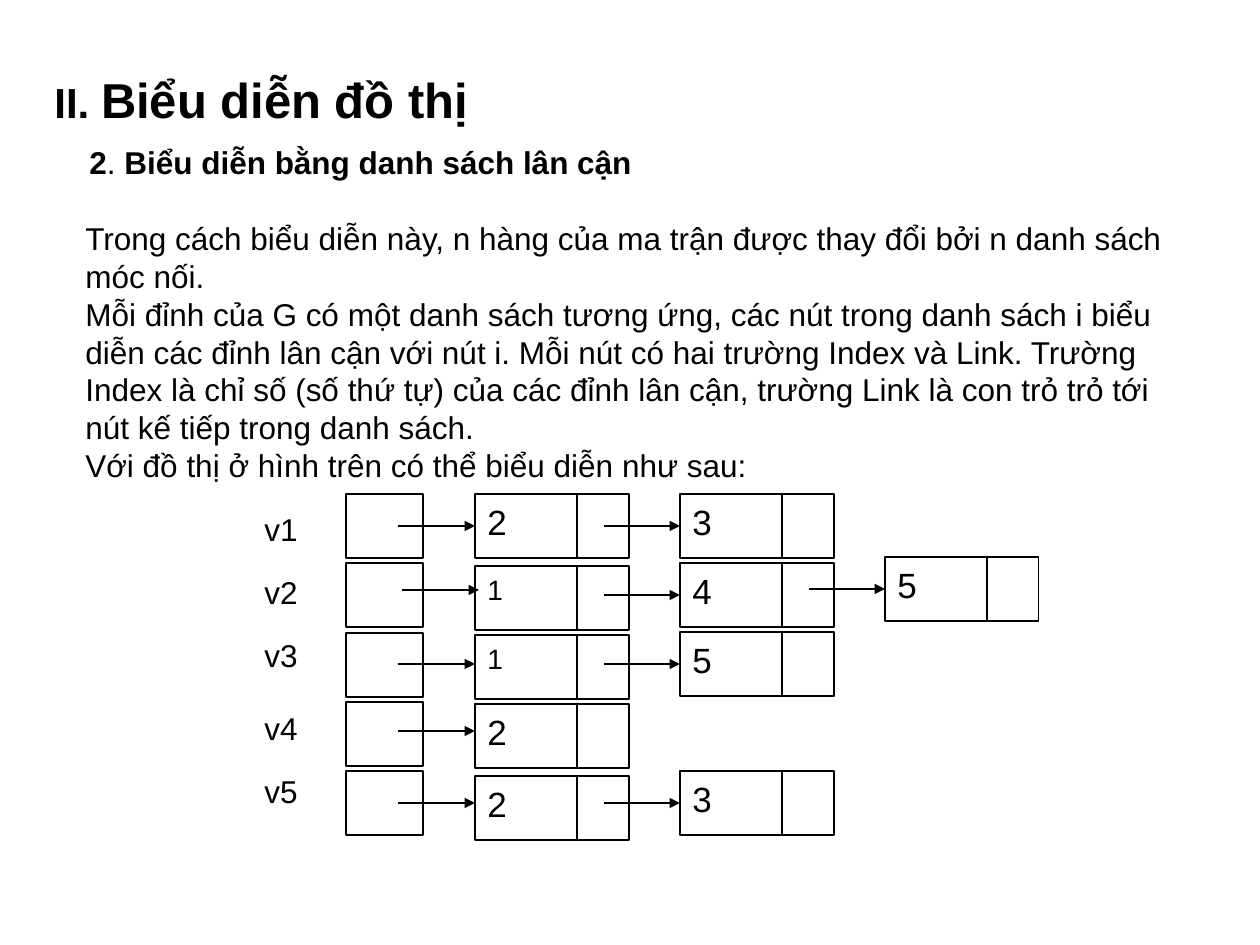
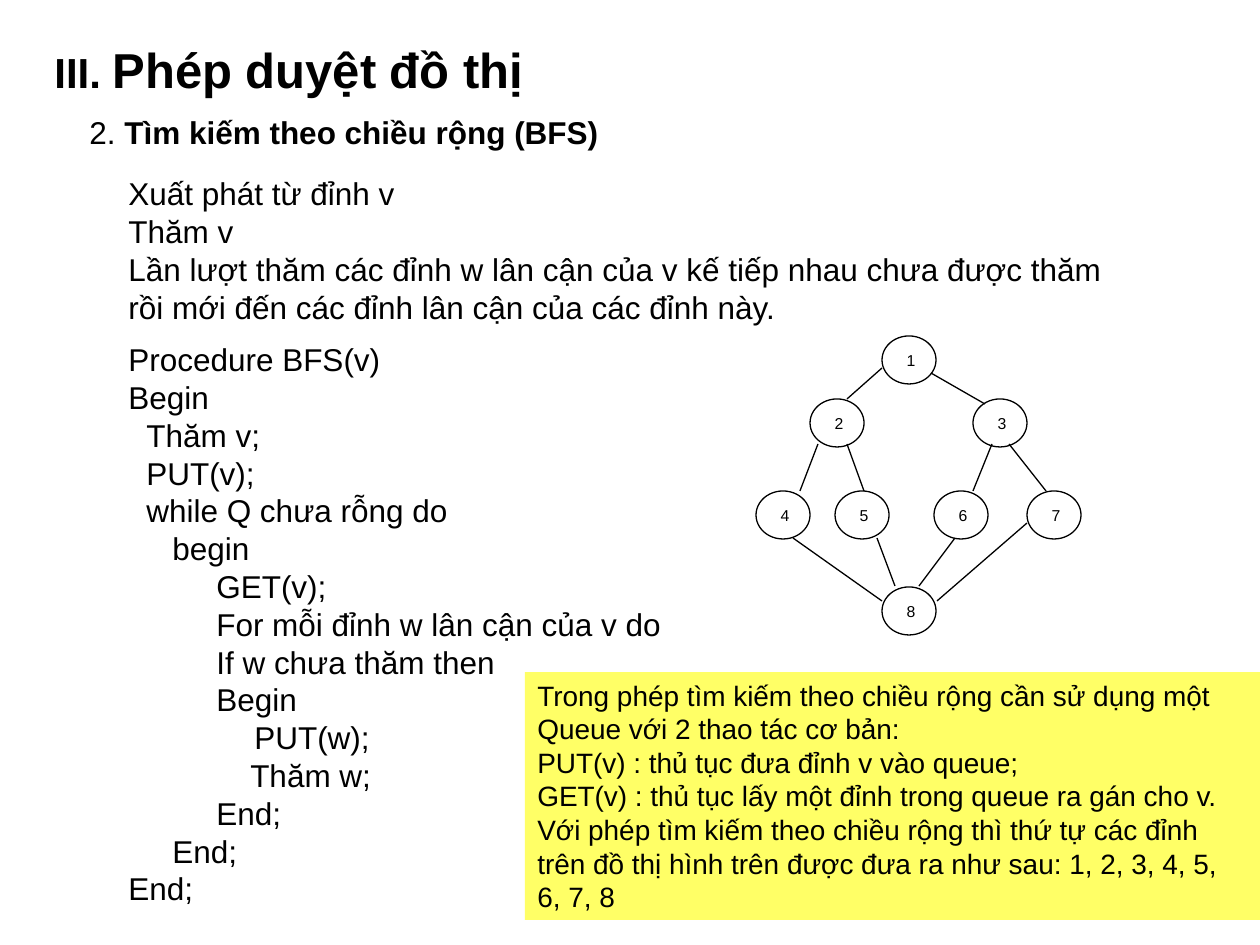
from lxml import etree
from pptx import Presentation
from pptx.dml.color import RGBColor
from pptx.enum.shapes import MSO_CONNECTOR as CONN, MSO_SHAPE as SHAPE
from pptx.enum.text import MSO_ANCHOR as ANCHOR, PP_ALIGN as ALIGN
from pptx.oxml.ns import qn
from pptx.util import Emu, Pt

PX_PER_INCH = 126


def px(n):
    return Emu(round(n * 914400 / PX_PER_INCH))


def color(hex_text):
    return RGBColor.from_string(hex_text)


class Deck:
    font, ink, paper, note_fill = "Arial", "000000", "FFFFFF", "FFFF66"
    line_width = Pt(0.75)

    def __init__(self):
        self.prs = Presentation()
        self.prs.slide_width, self.prs.slide_height = px(1260), px(945)
        self.s = None

    def slide(self):
        self.s = self.prs.slides.add_slide(self.prs.slide_layouts[6])

    def style(self, p, size):
        p.font.name, p.font.size = self.font, Pt(size)
        p.font.color.rgb = color(self.ink)

    def fill_text(self, tf, lines, size, indents=None):
        """Write one paragraph per line, with optional left indents in px."""
        tf.word_wrap = True
        tf.vertical_anchor = ANCHOR.TOP
        for i, line in enumerate(lines):
            p = tf.paragraphs[0] if i == 0 else tf.add_paragraph()
            p.add_run().text = line
            p.alignment = ALIGN.LEFT
            self.style(p, size)
            if indents and indents[i]:
                p._p.get_or_add_pPr().set("marL", str(px(indents[i])))

    def text(self, x, y, w, h, lines, size=18, indents=None):
        tb = self.s.shapes.add_textbox(px(x), px(y), px(w), px(h))
        self.fill_text(tb.text_frame, lines, size, indents)

    def heading(self, x, y, w, h, runs):
        """Write one line of (text, size, bold) runs."""
        tb = self.s.shapes.add_textbox(px(x), px(y), px(w), px(h))
        tb.text_frame.word_wrap = True
        p = tb.text_frame.paragraphs[0]
        self.style(p, runs[0][1])
        for text, size, bold in runs:
            r = p.add_run()
            r.text = text
            r.font.size, r.font.bold = Pt(size), bold

    def titles(self, y, number, title, subtitle_runs):
        self.heading(42, y, 819, 72, [(number, 24, True), (title, 28, True)])
        self.heading(77, y + 74, 1004, 50,
                     [(text, 18, bold) for text, bold in subtitle_runs])

    def shape(self, kind, x, y, w, h, fill=None, outlined=True):
        sp = self.s.shapes.add_shape(kind, px(x), px(y), px(w), px(h))
        sp.shadow.inherit = False
        sp.fill.solid()
        sp.fill.fore_color.rgb = color(fill or self.paper)
        if outlined:
            sp.line.color.rgb = color(self.ink)
            sp.line.width = self.line_width
        else:
            sp.line.fill.background()
        return sp

    def line(self, x1, y1, x2, y2, arrow=False, target=None):
        """Draw a line; target is a box whose left side it meets."""
        c = self.s.shapes.add_connector(CONN.STRAIGHT, px(x1), px(y1), px(x2), px(y2))
        c.line.color.rgb = color(self.ink)
        c.line.width = self.line_width
        if arrow:
            etree.SubElement(c.line._get_or_add_ln(), qn("a:tailEnd"), type="triangle")
        etree.SubElement(c._element.spPr, qn("a:effectLst"))
        if target is not None:
            c.end_connect(target, 1)

    def list_node(self, x, y, value, size=20):
        """Draw a list node: an Index field and a Link field."""
        sp = self.shape(SHAPE.RECTANGLE, x, y, 154, 64)
        self.fill_text(sp.text_frame, [value], size)
        self.line(x + 102, y, x + 102, y + 64)
        return sp

    def vertex(self, x, y, label):
        sp = self.shape(SHAPE.OVAL, x, y, 54, 48)
        tf = sp.text_frame
        tf.margin_left, tf.margin_right = px(4), 0
        tf.margin_top = tf.margin_bottom = 0
        tf.vertical_anchor = ANCHOR.MIDDLE
        p = tf.paragraphs[0]
        p.add_run().text = label
        p.alignment = ALIGN.CENTER
        self.style(p, 9)


def adjacency_slide(d):
    d.slide()
    d.titles(63, "II. ", "Biểu diễn đồ thị",
             [("2", True), (". ", False), ("Biểu diễn bằng danh sách lân cận", True)])
    d.text(73, 213, 1134, 277, [
        "Trong cách biểu diễn này, n hàng của ma trận được thay đổi bởi n danh sách móc nối.",
        "Mỗi đỉnh của G có một danh sách tương ứng, các nút trong danh sách i biểu diễn "
        "các đỉnh lân cận với nút i. Mỗi nút có hai trường Index và Link. Trường Index là "
        "chỉ số (số thứ tự) của các đỉnh lân cận, trường Link là con trỏ trỏ tới nút kế "
        "tiếp trong danh sách.",
        "Với đồ thị ở hình trên có thể biểu diễn như sau:"])

    # Adjacency lists: label y, first arrow (x, y), then (y, value, size) per node
    head_x, head_y, row_step = 346, 494, 69.3
    node_x, node_step, link = 475, 205, 76
    rows = [
        (504, (398, 526), [(494, "2", 20), (494, "3", 20)]),
        (567, (402, 590), [(566, "1", 16), (563, "4", 20), (557, "5", 20)]),
        (630, (398, 664), [(635, "1", 16), (632, "5", 20)]),
        (703, (398, 731), [(704, "2", 20)]),
        (766, (398, 803), [(776, "2", 20), (771, "3", 20)]),
    ]
    for i, (label_y, (arrow_x, arrow_y), nodes) in enumerate(rows):
        d.text(252, label_y, 63, 50, [f"v{i + 1}"])
        d.shape(SHAPE.RECTANGLE, head_x, round(head_y + i * row_step), 77, 64)
        for j, (y, value, size) in enumerate(nodes):
            x = node_x + j * node_step
            node = d.list_node(x, y, value, size)
            if j:
                d.line(x - link, y + 32, x, y + 32, arrow=True, target=node)
            else:
                d.line(arrow_x, arrow_y, arrow_x + link + 1, arrow_y, arrow=True,
                       target=node if arrow_y == y + 32 else None)


def bfs_slide(d):
    d.slide()
    d.titles(33, "III. ", "Phép duyệt đồ thị",
             [("2. ", False), ("Tìm kiếm theo chiều rộng (BFS)", True)])
    d.text(116, 168, 1040, 164, [
        "Xuất phát từ đỉnh v", "Thăm v",
        "Lần lượt thăm các đỉnh w lân cận của v kế tiếp nhau chưa được thăm rồi mới đến "
        "các đỉnh lân cận của các đỉnh này."])

    # Pseudocode: indent in px and line
    code = [
        (0, "Procedure BFS(v)"), (0, "Begin"),
        (18, "Thăm v;"), (18, "PUT(v);"), (18, "while Q chưa rỗng do"),
        (44, "begin"),
        (88, "GET(v);"), (88, "For mỗi đỉnh w lân cận của v do"),
        (88, "If w chưa thăm then"), (88, "Begin"),
        (126, "PUT(w);"), (122, "Thăm w;"),
        (88, "End;"), (44, "End;"), (0, "End;"),
    ]
    indents, lines = zip(*code)
    d.text(116, 334, 577, 581, lines, indents=indents)

    # Graph
    vertices = [(882, 336), (810, 399), (973, 399), (756, 491), (835, 491),
                (934, 491), (1027, 491), (882, 587)]
    edges = [
        (882, 368, 847, 399), (931, 373, 985, 404),
        (818, 444, 800, 491), (847, 444, 864, 491),
        (992, 444, 973, 491), (1009, 444, 1046, 491),
        (793, 538, 882, 601), (877, 538, 895, 586),
        (955, 538, 919, 586), (1027, 523, 937, 601),
    ]
    for number, (x, y) in enumerate(vertices, 1):
        d.vertex(x, y, str(number))
    for edge in edges:
        d.line(*edge)

    # Note on the queue
    note = d.shape(SHAPE.RECTANGLE, 525, 672, 735, 248, d.note_fill, outlined=False)
    d.fill_text(note.text_frame, [
        "Trong phép tìm kiếm theo chiều rộng cần sử dụng một Queue với 2 thao tác cơ bản:",
        "PUT(v) : thủ tục đưa đỉnh v vào queue;",
        "GET(v) : thủ tục lấy một đỉnh trong queue ra gán cho v.",
        "Với phép tìm kiếm theo chiều rộng thì thứ tự các đỉnh trên đồ thị hình trên được "
        "đưa ra như sau: 1, 2, 3, 4, 5, 6, 7, 8"], 16)


def main():
    d = Deck()
    adjacency_slide(d)
    bfs_slide(d)
    d.prs.save("out.pptx")


if __name__ == "__main__":
    main()
